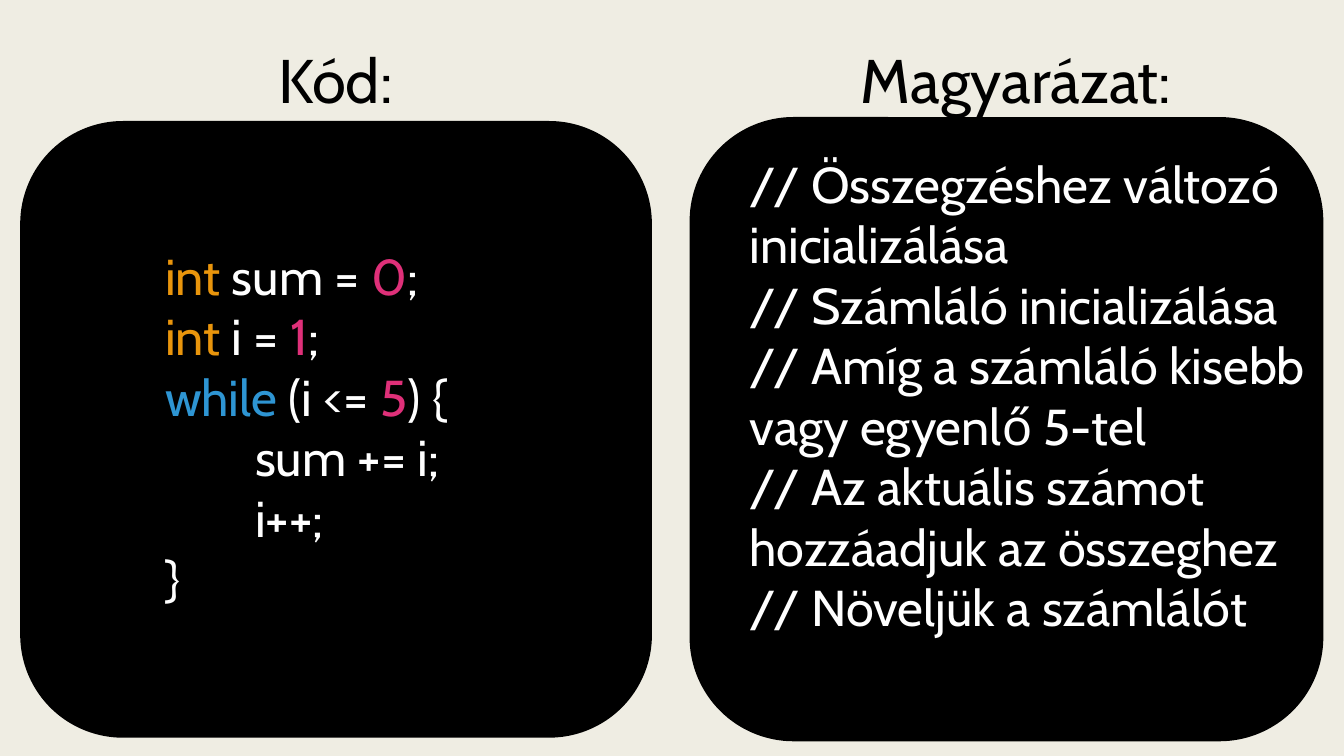
from dataclasses import dataclass

from pptx import Presentation
from pptx.dml.color import RGBColor
from pptx.enum.shapes import MSO_SHAPE
from pptx.enum.text import MSO_AUTO_SIZE, PP_ALIGN
from pptx.slide import Slide
from pptx.util import Cm, Pt

BACKGROUND, BLACK, WHITE = "EFEDE3", "000000", "FFFFFF"
TYPE, KEYWORD, NUMBER = "E9950C", "2E95D3", "DF3079"
FONT = "Cabin"
INDENT = 2.27


@dataclass
class Box:
    left: float
    top: float
    width: float
    height: float

    def lengths(self) -> tuple[Cm, Cm, Cm, Cm]:
        return Cm(self.left), Cm(self.top), Cm(self.width), Cm(self.height)


@dataclass
class Line:
    tokens: list[tuple[str, str]]  # text and colour
    level: int = 0


def color(value: str) -> RGBColor:
    return RGBColor.from_string(value)


def add_panel(slide: Slide, box: Box) -> None:
    shape = slide.shapes.add_shape(MSO_SHAPE.ROUNDED_RECTANGLE, *box.lengths())
    shape.shadow.inherit = False
    shape.fill.solid()
    shape.fill.fore_color.rgb = color(BLACK)
    shape.line.fill.background()


def add_text(slide: Slide, box: Box, lines: list[Line], size: int,
             alignment: PP_ALIGN = PP_ALIGN.LEFT) -> None:
    text_frame = slide.shapes.add_textbox(*box.lengths()).text_frame
    text_frame.word_wrap = True
    text_frame.auto_size = MSO_AUTO_SIZE.SHAPE_TO_FIT_TEXT
    for index, line in enumerate(lines):
        paragraph = text_frame.add_paragraph() if index else text_frame.paragraphs[0]
        paragraph.alignment = alignment
        paragraph.font.name = FONT
        paragraph.font.size = Pt(size)
        if line.level:
            properties = paragraph._p.get_or_add_pPr()
            properties.set("marL", str(Cm(INDENT * line.level)))
            properties.set("indent", "0")
        for text, text_color in line.tokens:
            run = paragraph.add_run()
            run.text = text
            run.font.color.rgb = color(text_color)


presentation = Presentation()
presentation.slide_width, presentation.slide_height = Cm(33.87), Cm(19.05)
slide = presentation.slides.add_slide(presentation.slide_layouts[6])
slide.background.fill.solid()
slide.background.fill.fore_color.rgb = color(BACKGROUND)

# Panels
for panel in (Box(0.51, 3.05, 15.92, 15.54), Box(17.38, 2.95, 15.97, 15.73)):
    add_panel(slide, panel)

# Code
code = [
    Line([("int", TYPE), (" sum = ", WHITE), ("0", NUMBER), (";", WHITE)]),
    Line([("int", TYPE), (" i = ", WHITE), ("1", NUMBER), (";", WHITE)]),
    Line([("while", KEYWORD), (" (i <= ", WHITE), ("5", NUMBER), (") {", WHITE)]),
    Line([("sum += i;", WHITE)], level=1),
    Line([("i++;", WHITE)], level=1),
    Line([("}", WHITE)]),
]
add_text(slide, Box(3.91, 6.05, 22.5, 9.5), code, 36)

# Explanation
comments = [
    "// Összegzéshez változó inicializálása",
    "// Számláló inicializálása",
    "// Amíg a számláló kisebb vagy egyenlő 5-tel",
    "// Az aktuális számot hozzáadjuk az összeghez",
    "// Növeljük a számlálót",
]
add_text(slide, Box(18.64, 3.73, 16.84, 14.1),
         [Line([(comment, WHITE)]) for comment in comments], 36)

# Headings
headings = {"Kód:": Box(4.65, 0.94, 7.62, 2.13),
            "Magyarázat:": Box(20.96, 0.94, 9.3, 2.13)}
for heading, box in headings.items():
    add_text(slide, box, [Line([(heading, BLACK)])], 44, PP_ALIGN.CENTER)

presentation.save("out.pptx")
